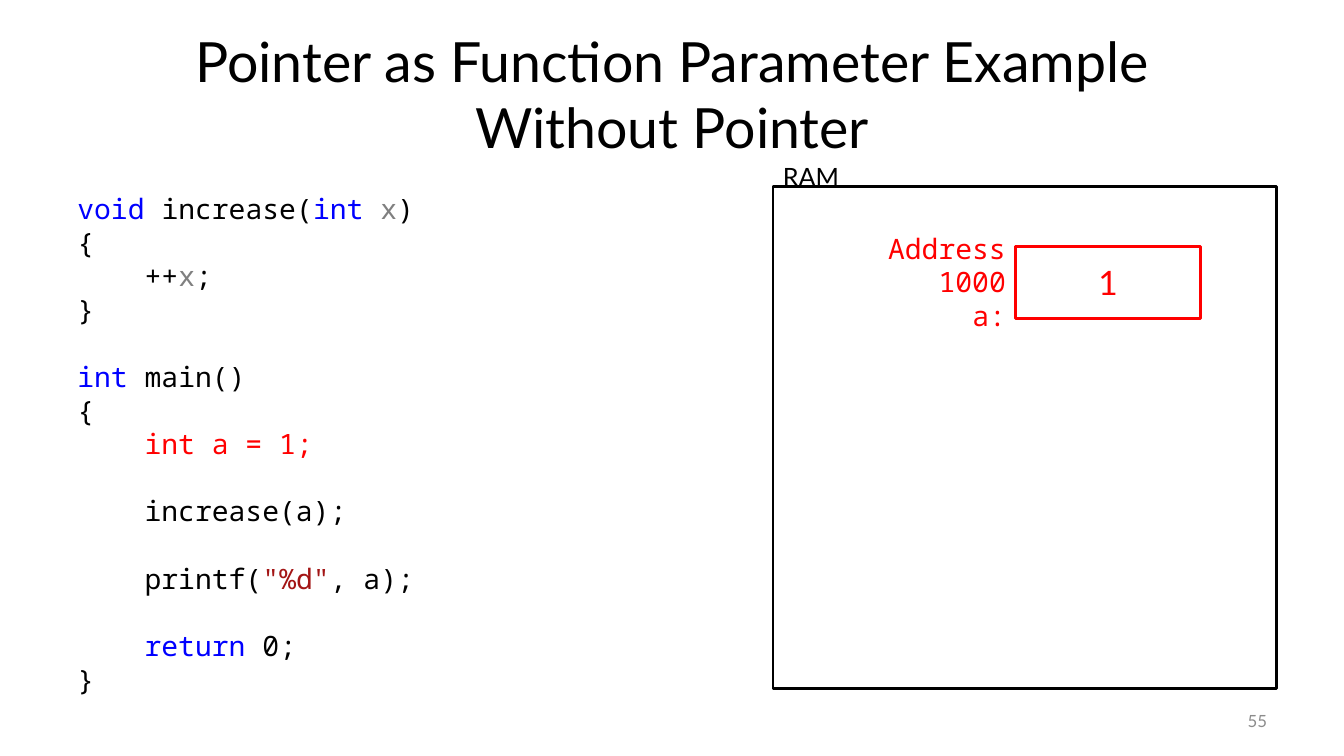
from dataclasses import dataclass
from typing import NamedTuple

from pptx import Presentation
from pptx.dml.color import RGBColor
from pptx.enum.shapes import MSO_SHAPE
from pptx.enum.text import MSO_ANCHOR, PP_ALIGN
from pptx.util import Cm, Pt


@dataclass(frozen=True)
class Theme:
    body_font: str = "Lato"
    code_font: str = "Noto Sans Mono"
    title_size: float = 39.6
    value_size: float = 24
    code_size: float = 20
    code_pitch: float = 24
    label_size: float = 18
    number_size: float = 12
    outline: float = 2
    ink: str = "000000"
    paper: str = "FFFFFF"
    keyword: str = "0000FF"
    parameter: str = "808080"
    string: str = "A31515"
    active: str = "FF0000"
    muted: str = "8C8C8C"


class Box(NamedTuple):
    left: float
    top: float
    width: float
    height: float

    def inner(self, left, top, width, height):
        return Box(self.left + left, self.top + top, width, height)

    def lengths(self):
        return [Cm(value) for value in self]


THEME = Theme()
PLAIN_CODE = {"name": THEME.code_font, "size": Pt(THEME.code_size)}

CODE_BLOCKS = [
    [
        [("void ", THEME.keyword), ("increase(", THEME.ink), ("int ", THEME.keyword),
         ("x", THEME.parameter), (")", THEME.ink)],
        [("{", THEME.ink)],
        [("    ++", THEME.ink), ("x", THEME.parameter), (";", THEME.ink)],
        [("}", THEME.ink)],
    ],
    [
        [("int ", THEME.keyword), ("main()", THEME.ink)],
        [("{", THEME.ink)],
        [("    int a = 1;", THEME.active)],
    ],
    [[("    increase(a);", THEME.ink)]],
    [[("    printf(", THEME.ink), ('"%d"', THEME.string), (", a);", THEME.ink)]],
    [
        [("    return", THEME.keyword), (" 0;", THEME.ink)],
        [("}", THEME.ink)],
    ],
]


def apply_format(target, values):
    for name, value in values.items():
        setattr(target, name, value)


def add_run(paragraph, text, color, font):
    run = paragraph.add_run()
    run.text = text
    apply_format(run.font, font)
    run.font.color.rgb = RGBColor.from_string(color)


def write_lines(frame, lines, font, frame_format=None, line_format=None):
    apply_format(frame, {"word_wrap": True, **(frame_format or {})})
    for index, (runs, gap) in enumerate(lines):
        paragraph = frame.add_paragraph() if index else frame.paragraphs[0]
        apply_format(paragraph, line_format or {})
        if gap:
            paragraph.space_before = Pt(gap)
        for text, color in runs:
            add_run(paragraph, text, color, font)


def add_text(slide, box, lines, font, frame_format=None, line_format=None):
    frame = slide.shapes.add_textbox(*box.lengths()).text_frame
    write_lines(frame, lines, font, frame_format, line_format)


def add_rectangle(slide, box, line_color):
    rectangle = slide.shapes.add_shape(MSO_SHAPE.RECTANGLE, *box.lengths())
    rectangle.shadow.inherit = False
    rectangle.fill.solid()
    rectangle.fill.fore_color.rgb = RGBColor.from_string(THEME.paper)
    rectangle.line.color.rgb = RGBColor.from_string(line_color)
    rectangle.line.width = Pt(THEME.outline)
    return rectangle


def add_title(slide, box):
    title = "Pointer as Function Parameter Example\vWithout Pointer"
    frame = slide.shapes.add_textbox(*box.lengths()).text_frame
    apply_format(frame, {"word_wrap": True, "vertical_anchor": MSO_ANCHOR.MIDDLE})
    heading = frame.paragraphs[0]
    heading.text = title
    heading.alignment = PP_ALIGN.CENTER
    for run in heading.runs:
        apply_format(run.font, {"name": THEME.body_font, "size": Pt(THEME.title_size)})
        run.font.color.rgb = RGBColor.from_string(THEME.ink)


def add_page_number(slide, box):
    add_text(slide, box, [([("55", THEME.muted)], 0)],
             {"name": THEME.body_font, "size": Pt(THEME.number_size)},
             {"vertical_anchor": MSO_ANCHOR.MIDDLE}, {"alignment": PP_ALIGN.RIGHT})


def add_code(slide, box):
    lines = [
        (runs, THEME.code_pitch if block_index and not line_index else 0)
        for block_index, block in enumerate(CODE_BLOCKS)
        for line_index, runs in enumerate(block)
    ]
    add_text(slide, box, lines, PLAIN_CODE,
             line_format={"line_spacing": Pt(THEME.code_pitch)})


def add_memory(slide, box):
    add_rectangle(slide, box, THEME.ink)
    add_text(slide, box.inner(0, -0.76, 4.72, 1.02), [([("RAM", THEME.ink)], 0)],
             {"name": THEME.body_font, "size": Pt(THEME.label_size)})
    add_variable(slide, box.inner(0.84, 1.42, 9.93, 1.96), "Address 1000", "a:", "1")


def add_variable(slide, box, address, name, value):
    label_width = 5.28
    middle = {"vertical_anchor": MSO_ANCHOR.MIDDLE}
    add_text(slide, box.inner(0, 0, label_width, box.height),
             [([(text, THEME.active)], 0) for text in (address, name)], PLAIN_CODE,
             middle, {"alignment": PP_ALIGN.RIGHT, "line_spacing": Pt(THEME.code_pitch)})
    cell = add_rectangle(
        slide, box.inner(label_width, 0.1, box.width - label_width, 1.8), THEME.active)
    write_lines(cell.text_frame, [([(value, THEME.active)], 0)],
                {"name": THEME.body_font, "size": Pt(THEME.value_size)},
                middle, {"alignment": PP_ALIGN.CENTER})


def main():
    presentation = Presentation()
    apply_format(presentation, {"slide_width": Cm(33.87), "slide_height": Cm(19.05)})
    slide = presentation.slides.add_slide(presentation.slide_layouts[6])
    add_title(slide, Box(1.7, 0.76, 30.48, 3.18))
    add_page_number(slide, Box(24.28, 17.65, 7.9, 1.02))
    add_memory(slide, Box(19.48, 4.7, 12.7, 12.65))
    add_code(slide, Box(1.7, 4.7, 15.24, 13.08))
    presentation.save("out.pptx")


if __name__ == "__main__":
    main()
